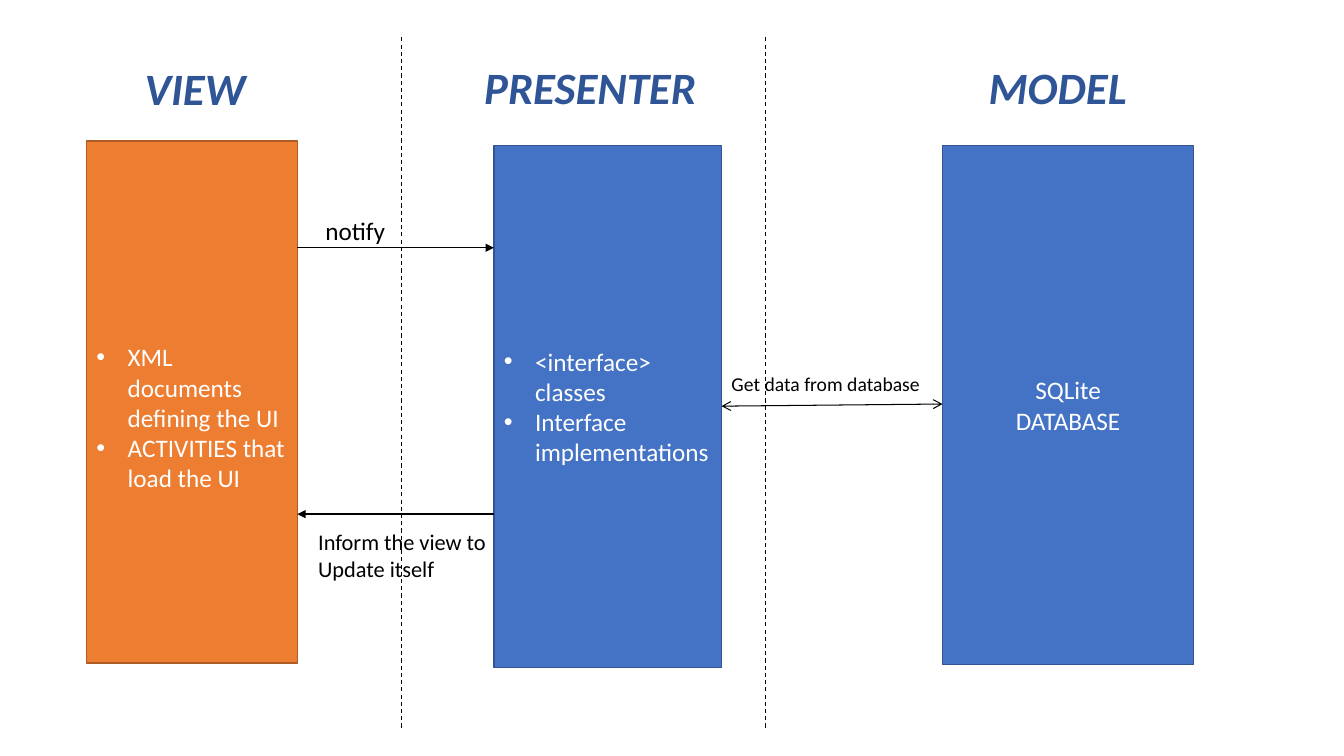
import pptx
import pptx.util
import pptx.dml.color
import pptx.enum.dml
import pptx.enum.shapes
import pptx.enum.text
from dataclasses import dataclass
from lxml import etree
from pptx.oxml.ns import qn

ALIGN = pptx.enum.text.PP_ALIGN
ANCHOR = pptx.enum.text.MSO_ANCHOR


@dataclass
class Theme:
    font: str = "Calibri"
    ink: str = "000000"
    white: str = "FFFFFF"
    heading: str = "2F5597"
    orange: tuple = ("ED7D31", "AF5C24")  # fill, outline
    blue: tuple = ("4472C4", "325491")
    heading_size: int = 32
    body_size: int = 18
    label_size: int = 16
    small_size: int = 14


def rgb(value):
    return pptx.dml.color.RGBColor.from_string(value)


class Diagram:
    """Places elements on a grid of 32 columns by 18 rows."""

    def __init__(self, prs, theme):
        self.theme = theme
        self.s = prs.slides.add_slide(prs.slide_layouts[6])
        self.col, self.row = prs.slide_width / 32, prs.slide_height / 18

    def grid(self, *cells):
        return [round(v * (self.row if i % 2 else self.col))
                for i, v in enumerate(cells)]

    def fill_text(self, tf, lines, size, color, align=ALIGN.LEFT, bold=False,
                  bullet=False):
        for i, line in enumerate(lines):
            p = tf.paragraphs[0] if i == 0 else tf.add_paragraph()
            p.alignment = align
            if bullet:
                pPr = p._p.get_or_add_pPr()
                indent = pptx.util.Inches(0.31)
                pPr.set("marL", str(indent))
                pPr.set("indent", str(-indent))
                etree.SubElement(pPr, qn("a:buFont"), typeface="Arial")
                etree.SubElement(pPr, qn("a:buChar"), char="•")
            r = p.add_run()
            r.text = line
            r.font.name, r.font.size = self.theme.font, pptx.util.Pt(size)
            r.font.bold = r.font.italic = bold
            r.font.color.rgb = rgb(color)

    def panel(self, cells, colors, lines, bullet=True, drop=0):
        sp = self.s.shapes.add_shape(
            pptx.enum.shapes.MSO_SHAPE.RECTANGLE, *self.grid(*cells))
        sp.shadow.inherit = False
        sp.fill.solid()
        sp.fill.fore_color.rgb = rgb(colors[0])
        sp.line.color.rgb = rgb(colors[1])
        sp.line.width = pptx.util.Pt(1)
        tf = sp.text_frame
        tf.word_wrap = True
        tf.vertical_anchor = ANCHOR.MIDDLE
        tf.margin_top = pptx.util.Inches(0.05 + drop)
        self.fill_text(tf, lines, self.theme.body_size, self.theme.white,
                       ALIGN.LEFT if bullet else ALIGN.CENTER, bullet=bullet)

    def line(self, ends, width=0.75, dash=False, head=None, tail=None):
        sp = self.s.shapes.add_connector(
            pptx.enum.shapes.MSO_CONNECTOR.STRAIGHT, *self.grid(*ends))
        sp.line.color.rgb = rgb(self.theme.ink)
        sp.line.width = pptx.util.Pt(width)
        if dash:
            sp.line.dash_style = pptx.enum.dml.MSO_LINE.DASH
        ln = sp._element.spPr.find(qn("a:ln"))
        for tag, kind in (("a:headEnd", head), ("a:tailEnd", tail)):
            if kind:
                etree.SubElement(ln, qn(tag), type=kind)
        etree.SubElement(sp._element.spPr, qn("a:effectLst"))

    def text(self, cells, lines, size, color, wrap=False, **style):
        tf = self.s.shapes.add_textbox(*self.grid(*cells)).text_frame
        tf.word_wrap = wrap
        tf.auto_size = pptx.enum.text.MSO_AUTO_SIZE.SHAPE_TO_FIT_TEXT
        self.fill_text(tf, lines, size, color, **style)

    def label(self, cells, lines, size):
        self.text(cells, lines, size, self.theme.ink)

    def heading(self, x, y, title):
        self.text((x, y, 7.27, 1.54), [title], self.theme.heading_size,
                  self.theme.heading, wrap=True, align=ALIGN.CENTER, bold=True)


prs = pptx.Presentation()
prs.slide_width, prs.slide_height = pptx.util.Inches(13.33), pptx.util.Inches(7.5)
theme = Theme()
d = Diagram(prs, theme)

# Layer panels
view_left, presenter_left, model_left = 2.06, 11.76, 22.44
view_width, presenter_width, model_width = 5.02, 5.42, 5.98
view_right = view_left + view_width
presenter_right = presenter_left + presenter_width
d.panel((view_left, 3.36, view_width, 12.43), theme.orange,
        ["XML documents defining the UI", "ACTIVITIES that load the UI"], drop=0.3)
d.panel((presenter_left, 3.46, presenter_width, 12.43), theme.blue,
        ["<interface> classes", "Interface implementations"])
d.panel((model_left, 3.46, model_width, 12.36), theme.blue,
        ["SQLite", "DATABASE"], bullet=False)

# Arrows between layers
d.line((view_right, 5.9, presenter_left, 5.9), width=1, tail="triangle")
d.line((presenter_left, 12.24, view_right, 12.24), width=1, tail="triangle")
d.line((presenter_right, 9.67, model_left, 9.62), head="arrow", tail="arrow")

# Dashed dividers
for x in (9.55, 18.22):
    d.line((x, 0.89, x, 17.38), dash=True)

# Arrow labels
d.label((7.51, 5.02, 1.92, 0.96), ["notify"], theme.body_size)
d.label((7.34, 12.46, 4.51, 1.54), ["Inform the view to", "Update itself"],
        theme.label_size)
d.label((presenter_right, 8.74, 5.09, 0.82), ["Get data from database"],
        theme.small_size)

# Layer headings
for x, y, title in ((1.01, 1.34, "VIEW"), (10.42, 1.3, "PRESENTER"),
                    (21.55, 1.3, "MODEL")):
    d.heading(x, y, title)

prs.save("out.pptx")
